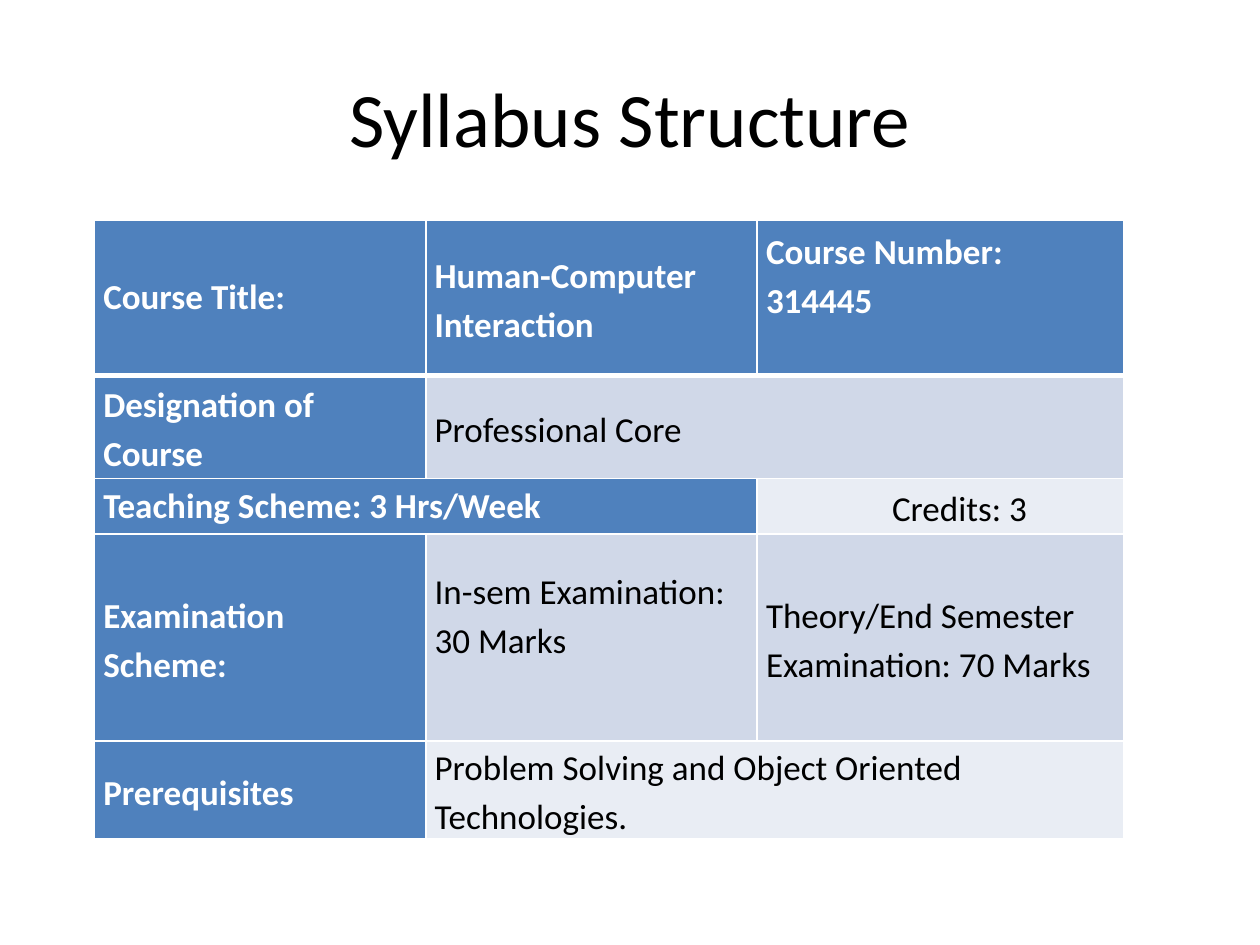
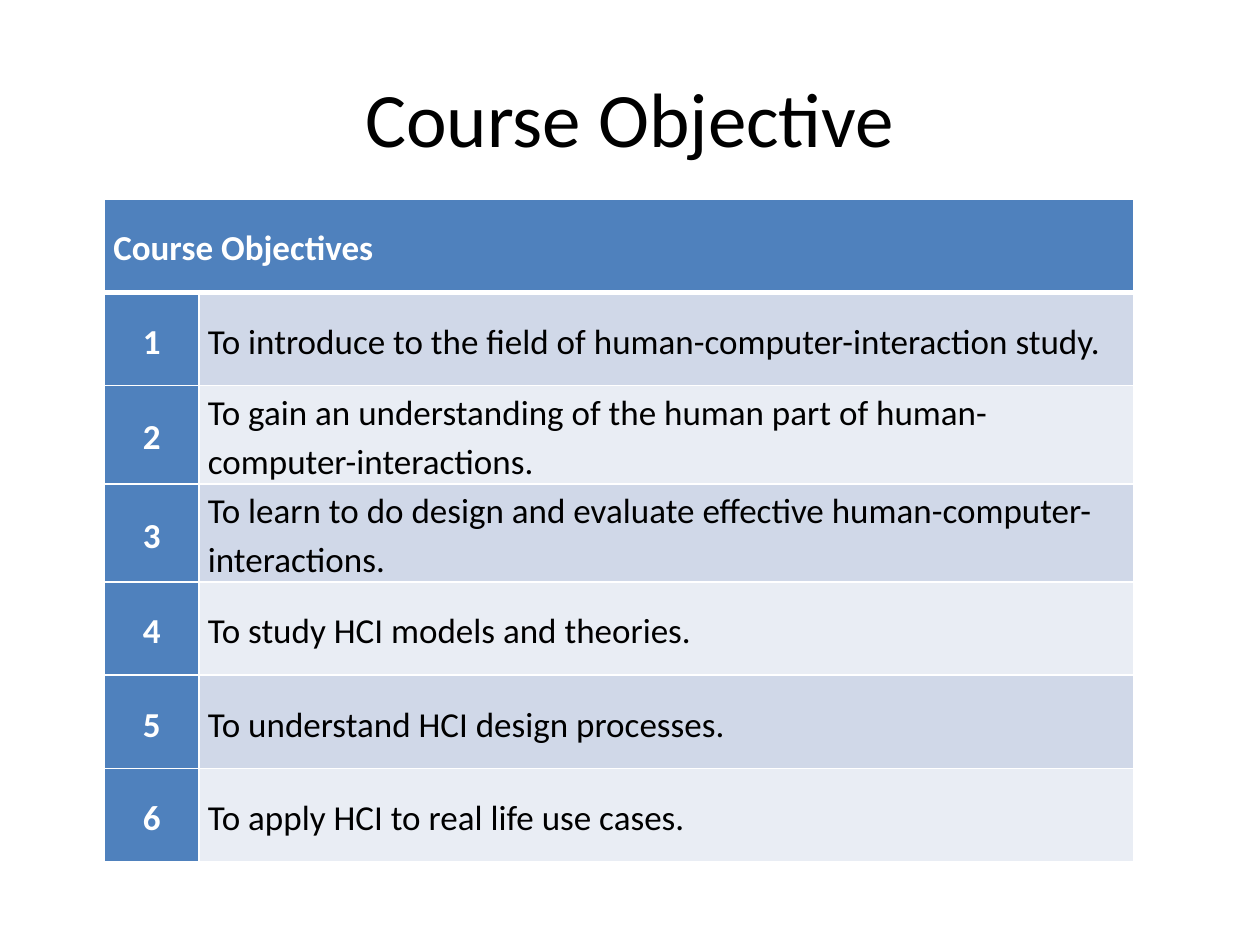
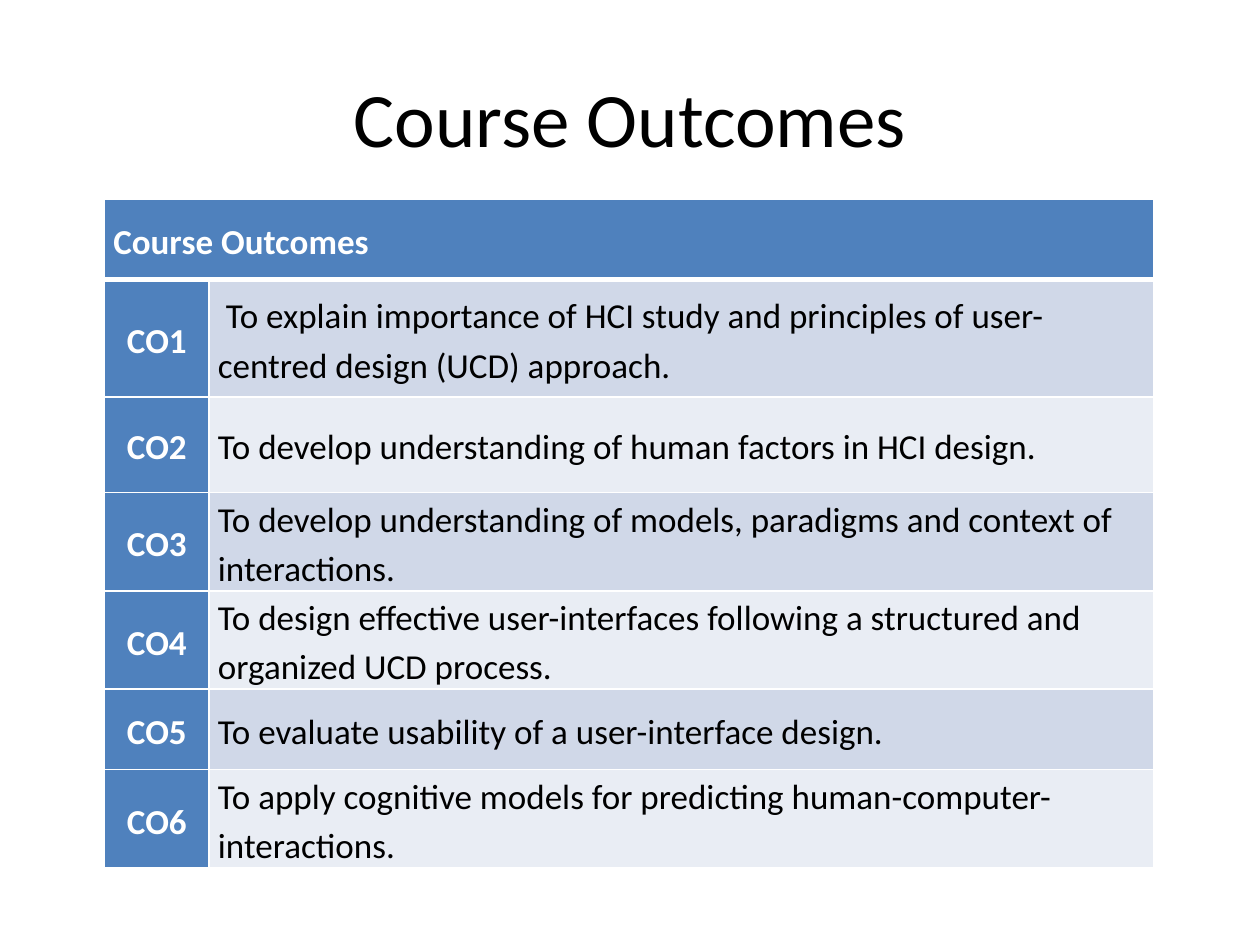
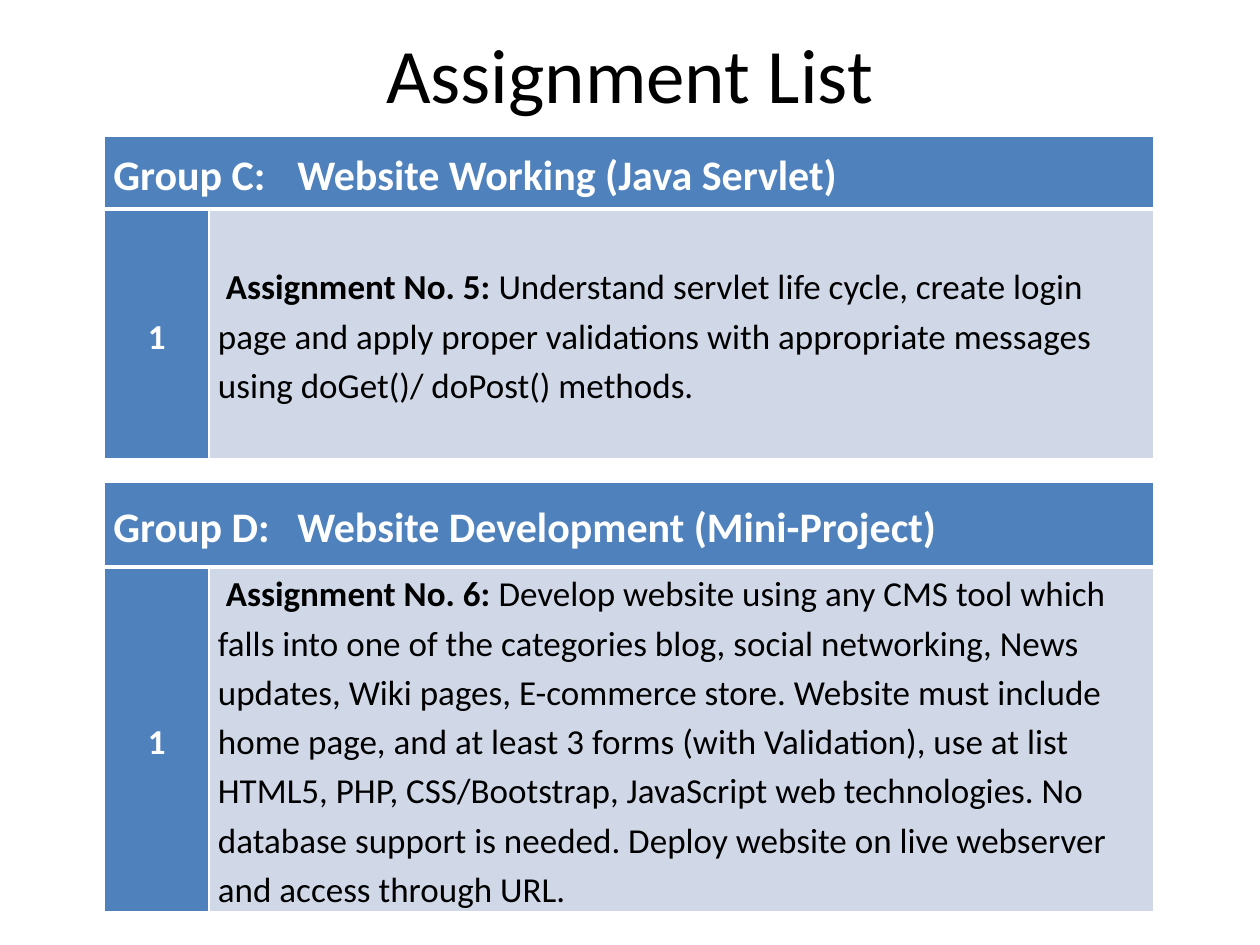
from pptx import Presentation
from pptx.dml.color import RGBColor
from pptx.enum.text import MSO_ANCHOR, PP_ALIGN
from pptx.oxml.ns import qn
from pptx.util import Inches, Pt
from lxml import etree

CENTER = PP_ALIGN.CENTER
MIDDLE = MSO_ANCHOR.MIDDLE
FONT = "Calibri"
BLACK, WHITE = "000000", "FFFFFF"
ACCENT = "4F81BD"
BANDS = ("E9EDF4", "D0D8E8")
BODY_SIZE = 20
GROUP_SIZE = 24
TWO_LINES = 0.78
MERGED = None


def rgb(value):
    return RGBColor.from_string(value)


def style_run(r, size, color, bold=False):
    r.font.name = FONT
    r.font.size = Pt(size)
    r.font.bold = bold
    r.font.color.rgb = rgb(color)


def add_titled_slide(prs, title, top=0.3, height=1.25):
    s = prs.slides.add_slide(prs.slide_layouts[6])
    box = s.shapes.add_textbox(Inches(0.5), Inches(top), Inches(9), Inches(height))
    tf = box.text_frame
    tf.word_wrap = True
    tf.vertical_anchor = MIDDLE
    p = tf.paragraphs[0]
    p.text = title
    p.alignment = CENTER
    style_run(p.runs[0], 44, BLACK)
    return s


def add_tab(p, position):
    tabs = etree.SubElement(p._p.get_or_add_pPr(), qn("a:tabLst"))
    etree.SubElement(tabs, qn("a:tab"), pos=str(Inches(position)), algn="l")


def set_borders(cell, top, bottom):
    tc_pr = cell._tc.get_or_add_tcPr()
    for side, width in (("L", 1), ("R", 1), ("T", top), ("B", bottom)):
        ln = etree.SubElement(tc_pr, qn(f"a:ln{side}"), w=str(Pt(width)))
        fill = etree.SubElement(ln, qn("a:solidFill"))
        etree.SubElement(fill, qn("a:srgbClr"), val=WHITE)


def fill_cell(cell, content, row, is_label, size, tab):
    set_borders(cell, 3 if row == 1 else 1, 3 if row == 0 else 1)
    cell.fill.solid()
    cell.fill.fore_color.rgb = rgb(ACCENT if is_label else BANDS[row % 2])
    cell.vertical_anchor = MIDDLE
    cell.margin_left = cell.margin_right = Inches(0.07)
    cell.margin_top = cell.margin_bottom = 0
    if content is MERGED:
        return
    lead, text = content if isinstance(content, tuple) else ("", content)
    p = cell.text_frame.paragraphs[0]
    if "\t" in text:
        add_tab(p, tab)
    p.line_spacing = 1.15
    if lead:
        r = p.add_run()
        r.text = lead
        style_run(r, size, BLACK, True)
    r = p.add_run()
    r.text = text
    style_run(r, size, WHITE if is_label else BLACK, is_label)


def add_grid(s, left, top, widths, heights, rows, header_size=BODY_SIZE, tab=1):
    frame = s.shapes.add_table(len(rows), len(widths), Inches(left), Inches(top),
                               Inches(sum(widths)), Inches(sum(heights)))
    table = frame.table
    for column, width in zip(table.columns, widths):
        column.width = Inches(width)
    for i, (height, contents) in enumerate(zip(heights, rows)):
        table.rows[i].height = Inches(height)
        size = header_size if i == 0 else BODY_SIZE
        for j, content in enumerate(contents):
            cell = table.cell(i, j)
            fill_cell(cell, content, i, i == 0 or j == 0, size, tab)
            if content is MERGED:
                table.cell(i, j - 1).merge(cell)
    return table


def add_numbered_table(s, top, widths, heights, header, items, prefix="", **options):
    rows = [(header, MERGED)]
    rows += [(f"{prefix}{n}", item) for n, item in enumerate(items, 1)]
    table = add_grid(s, 0.83, top, widths, heights, rows, **options)
    for i in range(1, len(rows)):
        table.cell(i, 0).text_frame.paragraphs[0].alignment = CENTER


def add_syllabus(prs):
    s = add_titled_slide(prs, "Syllabus Structure")
    rows = [
        ("Course Title:", "Human-Computer Interaction", "Course Number: 314445"),
        ("Designation of Course", "Professional Core", MERGED),
        ("Teaching Scheme: 3 Hrs/Week", MERGED, "\tCredits: 3"),
        ("Examination Scheme:", "In-sem Examination: 30 Marks",
         "Theory/End Semester Examination: 70 Marks"),
        ("Prerequisites", "Problem Solving and Object Oriented Technologies.", MERGED),
    ]
    heights = (1.23, 0.82, 0.44, 1.64, TWO_LINES)
    table = add_grid(s, 0.75, 1.75, (2.63, 2.63, 2.91), heights, rows)
    for i in (0, 2):
        table.cell(i, 0).text_frame.paragraphs[0].line_spacing = 1.0
    for i, j in ((0, 2), (3, 1)):
        table.cell(i, j).margin_bottom = Inches(0.38)
    table.cell(3, 0).margin_right = Inches(0.2)


def add_objectives(prs):
    s = add_titled_slide(prs, "Course Objective")
    items = [
        "To introduce to the field of human-computer-interaction study.",
        "To gain an understanding of the human part of human-computer-interactions.",
        "To learn to do design and evaluate effective human-computer-interactions.",
        "To study HCI models and theories.",
        "To understand HCI design processes.",
        "To apply HCI to real life use cases.",
    ]
    heights = [0.74] * 2 + [TWO_LINES] * 2 + [0.74] * 3
    add_numbered_table(s, 1.58, (0.75, 7.42), heights, "Course Objectives", items)


def add_outcomes(prs):
    s = add_titled_slide(prs, "Course Outcomes")
    items = [
        " To explain importance of HCI study and principles of user-centred design (UCD) approach.",
        "To develop understanding of human factors in HCI design.",
        "To develop understanding of models, paradigms and context of interactions.",
        "To design effective user-interfaces following a structured and organized UCD process.",
        "To evaluate usability of a user-interface design.",
        "To apply cognitive models for predicting human-computer-interactions.",
    ]
    heights = (0.64, 0.93, 0.76, TWO_LINES, TWO_LINES, 0.64, TWO_LINES)
    add_numbered_table(s, 1.58, (0.83, 7.5), heights, "Course Outcomes", items, prefix="CO")


def add_assignments(prs):
    s = add_titled_slide(prs, "Assignment List", top=0.08, height=1)
    groups = [
        (1.08, (0.58, 1.98), "Group C:\tWebsite Working (Java Servlet)",
         (" Assignment No. 5: ",
          "Understand servlet life cycle, create login page and apply proper validations "
          "with appropriate messages using doGet()/ doPost() methods.")),
        (3.83, (0.67, 2.74), "Group D:\tWebsite Development (Mini-Project)",
         (" Assignment No. 6: ",
          "Develop website using any CMS tool which falls into one of the categories blog, "
          "social networking, News updates, Wiki pages, E-commerce store. Website must "
          "include home page, and at least 3 forms (with Validation), use at list HTML5, "
          "PHP, CSS/Bootstrap, JavaScript web technologies. No database support is needed. "
          "Deploy website on live webserver and access through URL.")),
    ]
    for top, heights, header, assignment in groups:
        add_numbered_table(s, top, (0.83, 7.5), heights, header, [assignment],
                           header_size=GROUP_SIZE, tab=1.46)


def main():
    prs = Presentation()
    prs.slide_width = Inches(10)
    prs.slide_height = Inches(7.5)
    add_syllabus(prs)
    add_objectives(prs)
    add_outcomes(prs)
    add_assignments(prs)
    prs.save("out.pptx")


if __name__ == "__main__":
    main()
